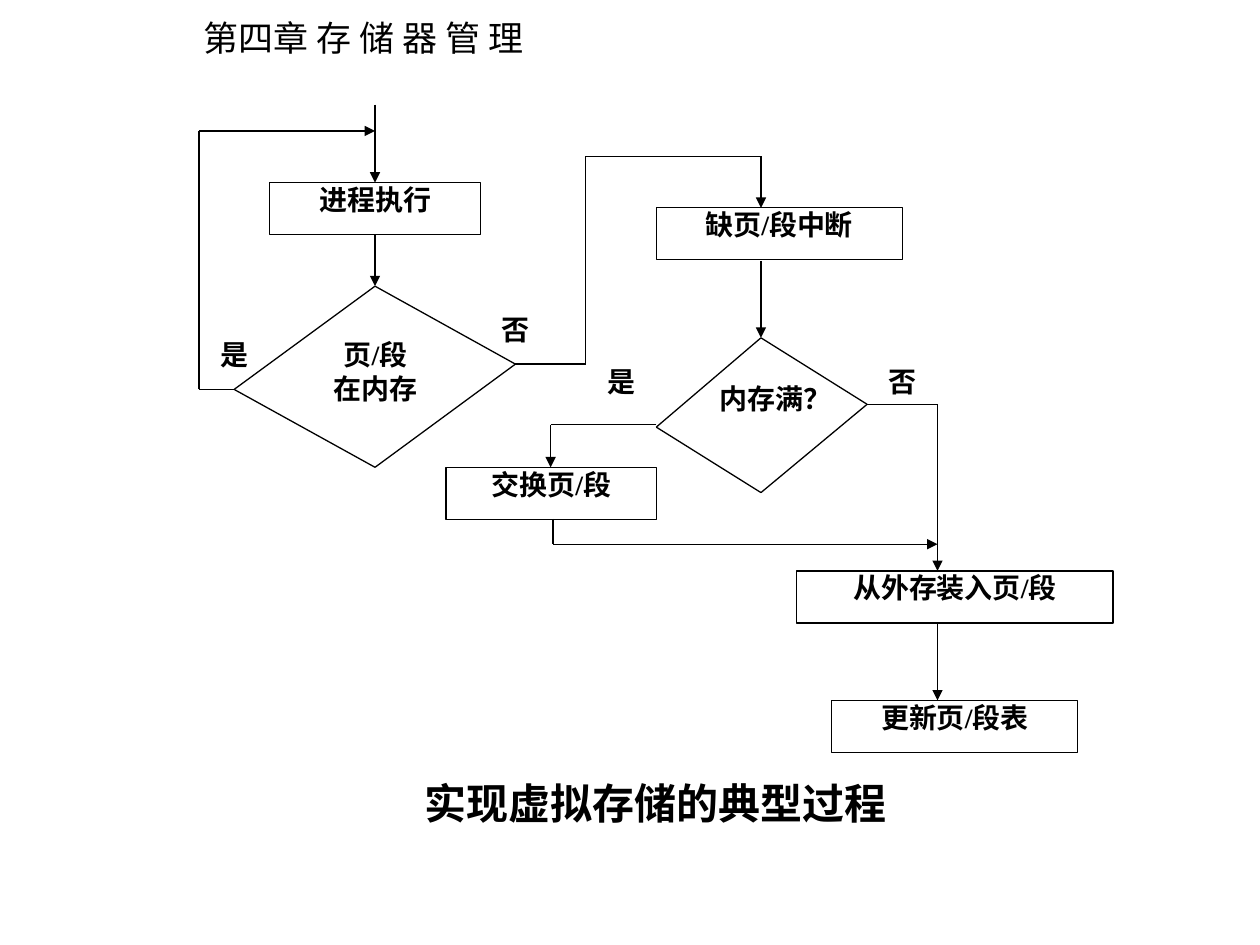
from dataclasses import dataclass

from lxml import etree
from pptx import Presentation, util as u
from pptx.dml.color import RGBColor
from pptx.enum import lang, shapes, text
from pptx.oxml.ns import qn

BLACK = "000000"
LATIN, CHINESE = "Times New Roman", "Noto Sans CJK SC"
BOX_HEIGHT = 1.05
LABEL_WIDTH = 1.42


@dataclass
class Label:
    left: float
    top: float
    width: float
    height: float
    lines: tuple[str, ...]
    framed: bool = False
    size: int = 16


@dataclass
class Route:
    points: tuple[tuple[float, float], ...]
    arrow: bool = False


def process(left: float, top: float, width: float, wording: str) -> Label:
    return Label(left, top, width, BOX_HEIGHT, (wording,), framed=True)


def answer(left: float, top: float, wording: str) -> Label:
    return Label(left, top, LABEL_WIDTH, BOX_HEIGHT, (wording,))


LABELS = (
    process(5.44, 3.68, 4.25, "进程执行"),
    process(13.23, 4.19, 4.96, "缺页/段中断"),
    process(8.99, 9.42, 4.25, "交换页/段"),
    process(16.06, 11.51, 6.38, "从外存装入页/段"),
    process(16.77, 14.12, 4.96, "更新页/段表"),
    Label(6.15, 6.81, 2.84, 2.08, ("页/段", "在内存")),
    Label(14.29, 7.7, 2.13, 1.78, ("内存满？",)),
    answer(4.01, 6.81, "是"),
    answer(9.68, 6.3, "否"),
    answer(11.81, 7.34, "是"),
    answer(17.48, 7.34, "否"),
    Label(4.01, 15.67, 18.42, BOX_HEIGHT, ("实现虚拟存储的典型过程",), size=24),
)

IN_MEMORY = ((7.56, 5.77), (10.39, 7.34), (7.56, 9.42), (4.72, 7.85))
MEMORY_FULL = ((15.34, 6.81), (17.48, 8.15), (15.34, 9.93), (13.23, 8.61))

ROUTES = (
    Route(IN_MEMORY + IN_MEMORY[:1]),
    Route(MEMORY_FULL + MEMORY_FULL[:1]),
    Route(((7.56, 2.11), (7.56, 3.68)), True),
    Route(((7.56, 4.72), (7.56, 5.77)), True),
    Route(((4.72, 7.85), (4.01, 7.85), (4.01, 2.64), (7.56, 2.64)), True),
    Route(((10.39, 7.34), (11.81, 7.34), (11.81, 3.15), (15.34, 3.15), (15.34, 4.19)), True),
    Route(((15.34, 5.26), (15.34, 6.81)), True),
    Route(((13.23, 8.56), (11.1, 8.56), (11.1, 9.42)), True),
    Route(((11.15, 10.46), (11.15, 10.97), (18.9, 10.97)), True),
    Route(((17.48, 8.15), (18.9, 8.15), (18.9, 11.51)), True),
    Route(((18.9, 12.55), (18.9, 14.12)), True),
)


def color(value: str) -> RGBColor:
    return RGBColor.from_string(value)


def add_run(paragraph, wording: str, size: int, latin: str, bold: bool) -> None:
    run = paragraph.add_run()
    run.text = wording
    font = run.font
    font.size, font.bold, font.name = u.Pt(size), bold, latin
    font.language_id = lang.MSO_LANGUAGE_ID.SIMPLIFIED_CHINESE
    font.color.rgb = color(BLACK)
    properties = run._r.get_or_add_rPr()
    etree.SubElement(properties, qn("a:ea")).set("typeface", CHINESE)


def draw_label(slide, label: Label) -> None:
    place = [u.Cm(value) for value in (label.left, label.top, label.width, label.height)]
    if label.framed:
        shape = slide.shapes.add_shape(shapes.MSO_SHAPE.RECTANGLE, *place)
        shape.shadow.inherit = False
        shape.fill.background()
        shape.line.color.rgb = color(BLACK)
        shape.line.width = u.Pt(0.75)
    else:
        shape = slide.shapes.add_textbox(*place)
    frame = shape.text_frame
    frame.word_wrap = True
    frame.vertical_anchor = text.MSO_ANCHOR.TOP
    frame.margin_left = frame.margin_right = frame.margin_top = frame.margin_bottom = 0
    for index, line in enumerate(label.lines):
        paragraph = frame.add_paragraph() if index else frame.paragraphs[0]
        paragraph.alignment = text.PP_ALIGN.CENTER
        add_run(paragraph, line, label.size, LATIN, True)


def draw_route(slide, route: Route) -> None:
    for start, end in zip(route.points, route.points[1:]):
        connector = slide.shapes.add_connector(
            shapes.MSO_CONNECTOR.STRAIGHT, *(u.Cm(value) for value in start + end)
        )
        connector.line.color.rgb = color(BLACK)
        connector.line.width = u.Pt(0.75)
        properties = connector._element.spPr
        etree.SubElement(properties, qn("a:effectLst"))
    if route.arrow:
        etree.SubElement(properties.find(qn("a:ln")), qn("a:tailEnd")).set("type", "triangle")


def draw_chapter(slide) -> None:
    shape = slide.shapes.add_textbox(u.Cm(3.86), u.Cm(0.2), u.Cm(7.11), u.Cm(1.12))
    frame = shape.text_frame
    frame.word_wrap = False
    frame.auto_size = text.MSO_AUTO_SIZE.SHAPE_TO_FIT_TEXT
    add_run(frame.paragraphs[0], "第四章 存 储 器 管 理", 20, CHINESE, False)


def main() -> None:
    """Build the flowchart of a typical virtual memory process."""
    presentation = Presentation()
    presentation.slide_width, presentation.slide_height = u.Cm(25.4), u.Cm(19.05)
    slide = presentation.slides.add_slide(presentation.slide_layouts[6])
    draw_chapter(slide)
    for route in ROUTES:
        draw_route(slide, route)
    for label in LABELS:
        draw_label(slide, label)
    presentation.save("out.pptx")


if __name__ == "__main__":
    main()
